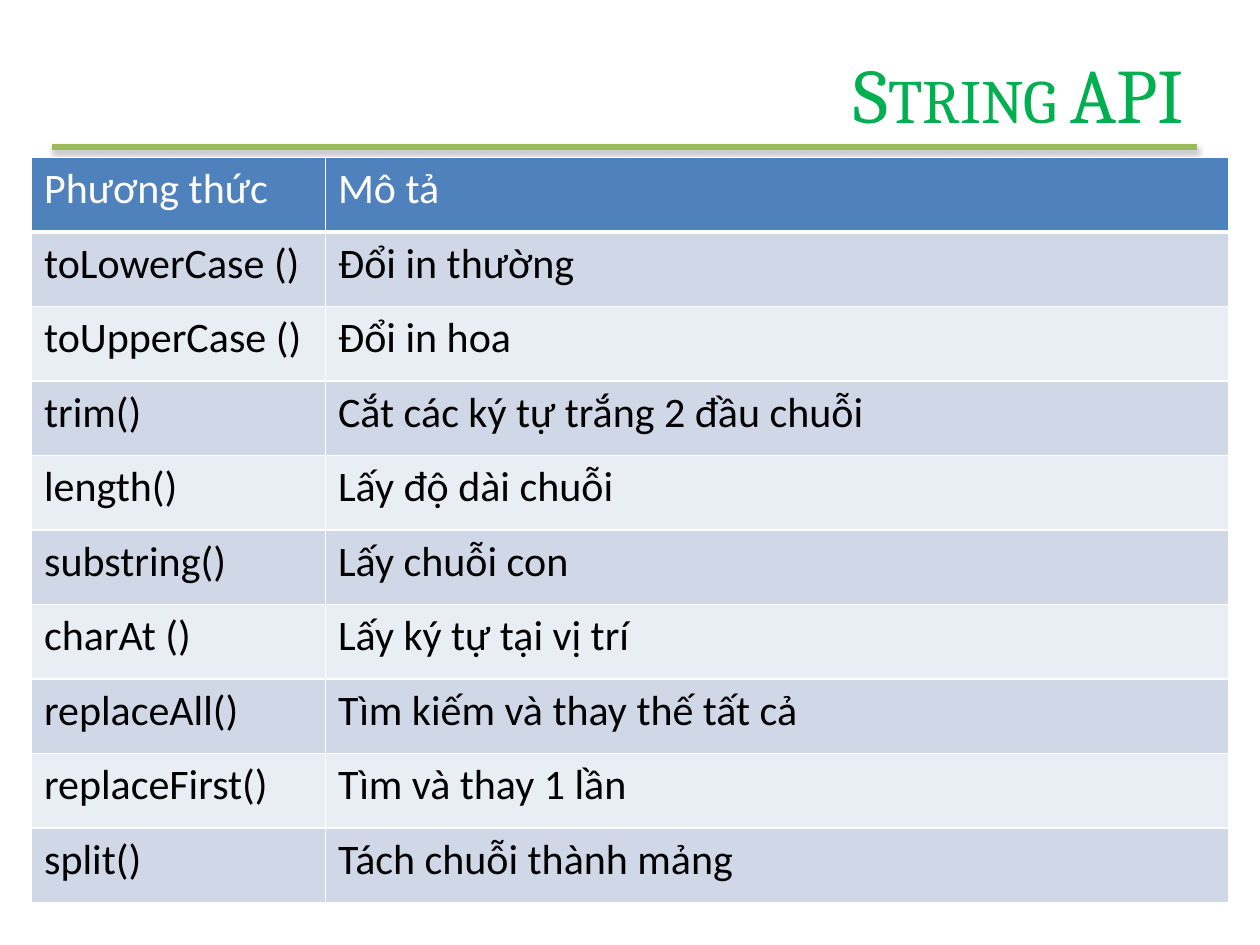
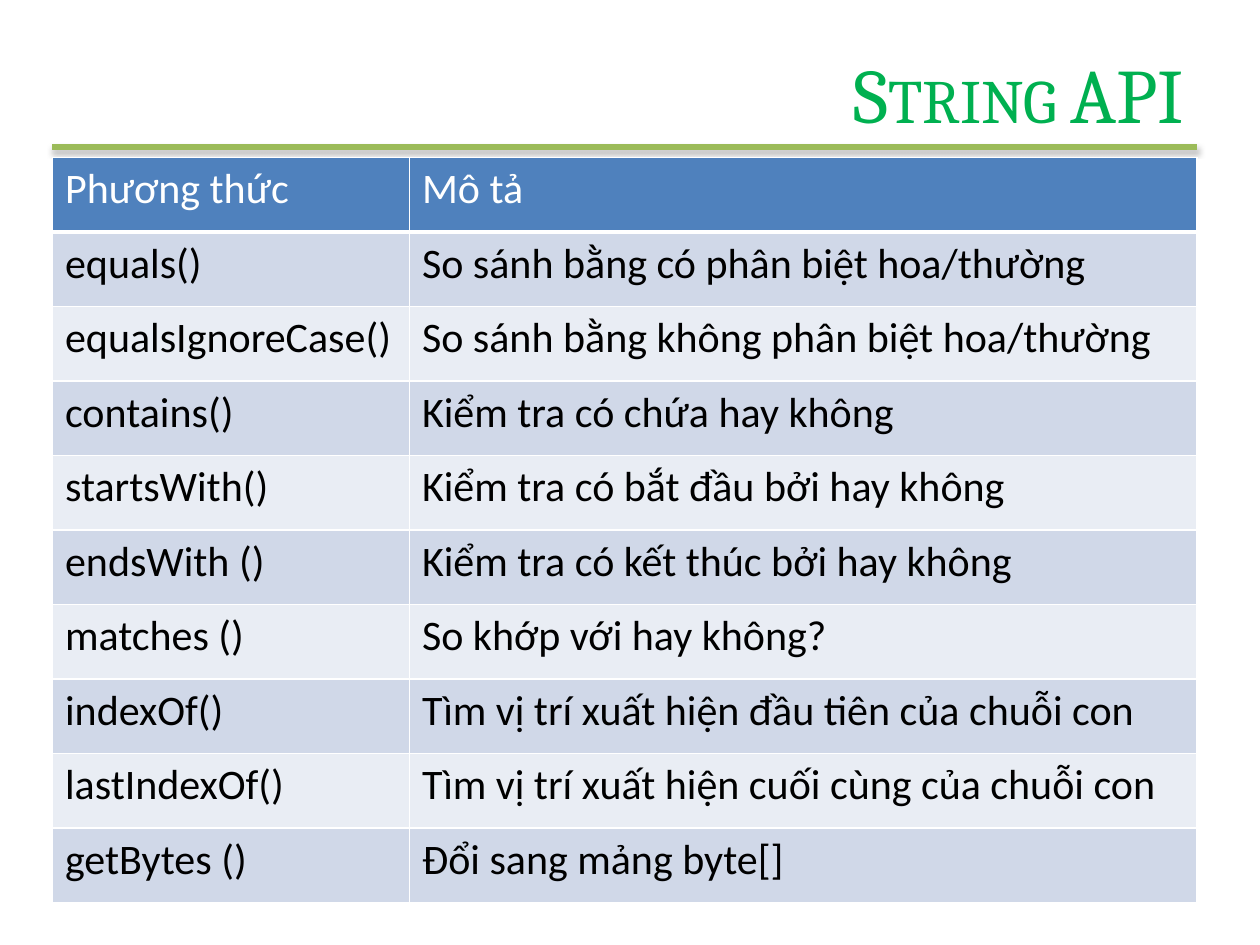
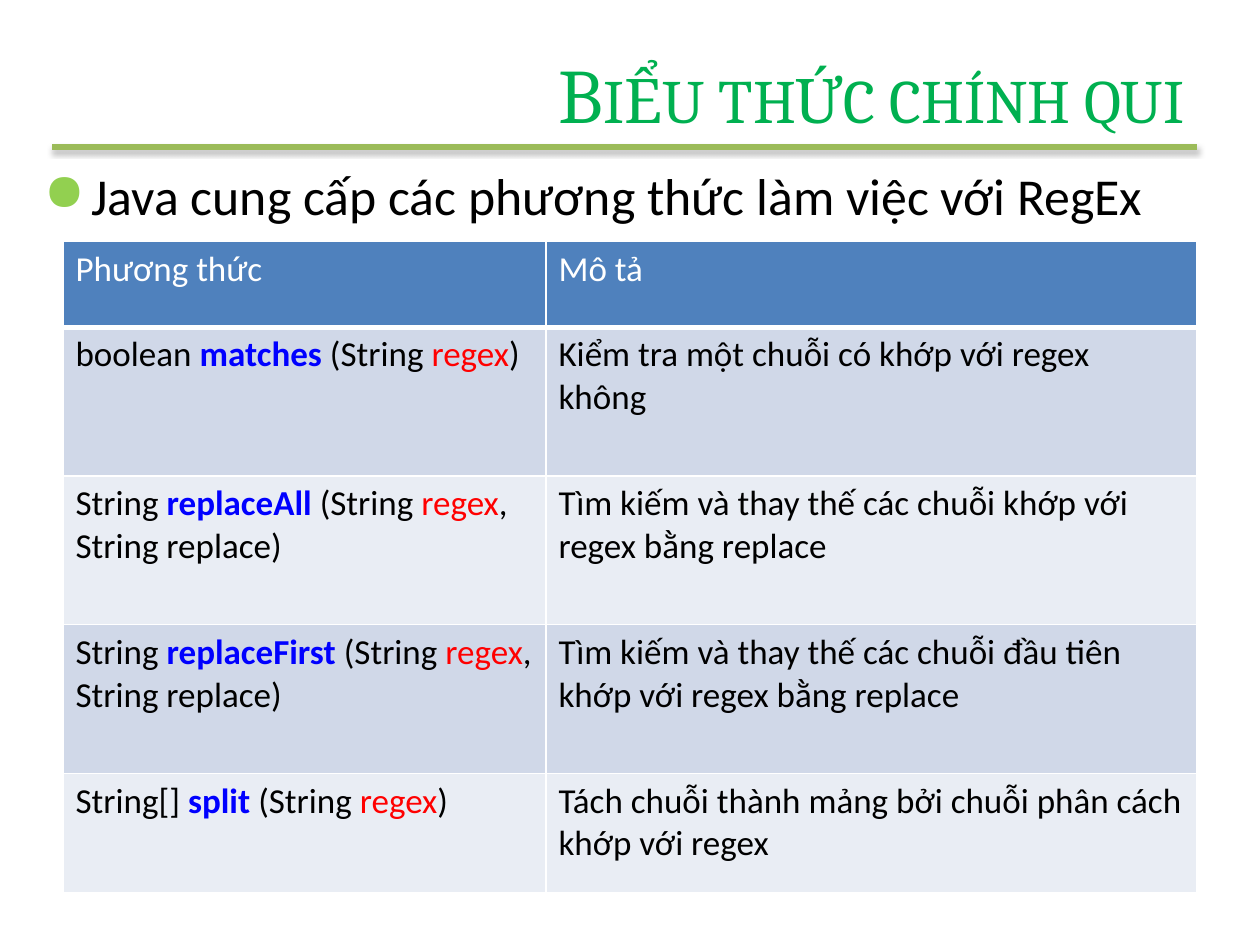
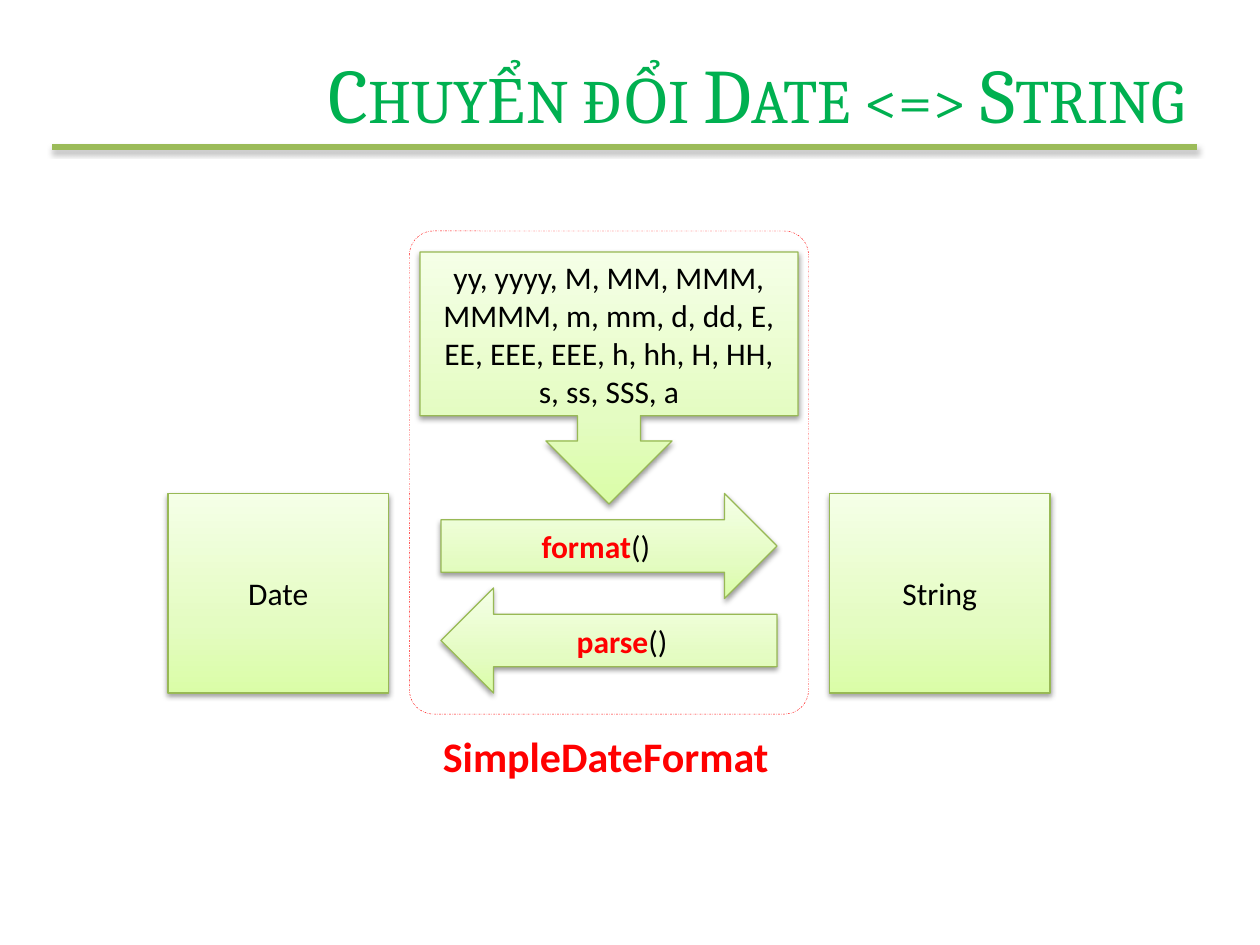
import copy
from dataclasses import dataclass

import pptx
import pptx.dml.color
import pptx.enum.dml
import pptx.enum.shapes
import pptx.enum.text
import pptx.util
from lxml import etree
from pptx.oxml.ns import qn

Pt = pptx.util.Pt
SHAPE = pptx.enum.shapes.MSO_SHAPE
ALIGN = pptx.enum.text.PP_ALIGN
ANCHOR = pptx.enum.text.MSO_ANCHOR
FIT = pptx.enum.text.MSO_AUTO_SIZE


@dataclass(frozen=True)
class Theme:
    title_font: str = "Cambria"
    body_font: str = "Calibri"
    title_size: float = 44
    lead_size: float = 29.6
    large_size: float = 24
    small_size: float = 20
    shape_size: float = 18
    title: str = "00B050"
    rule: str = "9BBB59"
    bullet: str = "92D050"
    text: str = "000000"
    white: str = "FFFFFF"
    blue: str = "0000FF"
    red: str = "FF0000"
    header: str = "4F81BD"
    bands: tuple = ("D0D8E8", "E9EDF4")
    shape_line: str = "98B955"
    gradient: tuple = ((0, "DAFDA7"), (0.35, "E4FCC2"), (1, "F5FFE7"))


T = Theme()

# Run roles: colour and bold
ROLES = {
    "plain": (T.text, False),
    "header": (T.white, False),
    "method": (T.blue, True),
    "param": (T.red, False),
    "key": (T.red, True),
}

HEADER = ("Phương thức", "Mô tả")

EDIT_METHODS = [
    ("toLowerCase ()", "Đổi in thường"),
    ("toUpperCase ()", "Đổi in hoa"),
    ("trim()", "Cắt các ký tự trắng 2 đầu chuỗi"),
    ("length()", "Lấy độ dài chuỗi"),
    ("substring()", "Lấy chuỗi con"),
    ("charAt ()", "Lấy ký tự tại vị trí"),
    ("replaceAll()", "Tìm kiếm và thay thế tất cả"),
    ("replaceFirst()", "Tìm và thay 1 lần"),
    ("split()", "Tách chuỗi thành mảng"),
]

COMPARE_METHODS = [
    ("equals()", "So sánh bằng có phân biệt hoa/thường"),
    ("equalsIgnoreCase()", "So sánh bằng không phân biệt hoa/thường"),
    ("contains()", "Kiểm tra có chứa hay không"),
    ("startsWith()", "Kiểm tra có bắt đầu bởi hay không"),
    ("endsWith ()", "Kiểm tra có kết thúc bởi hay không"),
    ("matches ()", "So khớp với hay không?"),
    ("indexOf()", "Tìm vị trí xuất hiện đầu tiên của chuỗi con"),
    ("lastIndexOf()", "Tìm vị trí xuất hiện cuối cùng của chuỗi con"),
    ("getBytes ()", "Đổi sang mảng byte[]"),
]

REGEX_LEAD = "Java cung cấp các phương thức làm việc với RegEx"
# Return type, method, parameters after regex, description
REGEX_METHODS = [
    ("boolean", "matches", ")", "Kiểm tra một chuỗi có khớp với regex không"),
    ("String", "replaceAll", ", String replace)",
     "Tìm kiếm và thay thế các chuỗi khớp với regex bằng replace"),
    ("String", "replaceFirst", ", String replace)",
     "Tìm kiếm và thay thế các chuỗi đầu tiên khớp với regex bằng replace"),
    ("String[]", "split", ")",
     "Tách chuỗi thành mảng bởi chuỗi phân cách khớp với regex"),
]

DATE_PATTERNS = ("yy, yyyy, M, MM, MMM, MMMM, m, mm, d, dd, E, EE, EEE, EEE, "
                 "h, hh, H, HH, s, ss, SSS, a")
# Shape, box (left, top, width, height), flipped, runs
DATE_SHAPES = [
    (SHAPE.RECTANGLE, (96, 282, 126, 114), False, "Date"),
    (SHAPE.RECTANGLE, (474, 282, 126, 114), False, "String"),
    (SHAPE.RIGHT_ARROW, (252, 282, 192, 60), False, [("format", "key"), ("()", "plain")]),
    (SHAPE.RIGHT_ARROW, (252, 336, 192, 60), True, [("parse", "key"), ("()", "plain")]),
    (SHAPE.DOWN_ARROW_CALLOUT, (240, 144, 216, 144), False, DATE_PATTERNS),
]


def rgb(value):
    return pptx.dml.color.RGBColor.from_string(value)


def points(*values):
    return [Pt(v) for v in values]


def add_runs(p, content, size, role="plain"):
    """Add a string in one role, or a list of (text, role) pairs."""
    pairs = [(content, role)] if isinstance(content, str) else content
    for text, name in pairs:
        r = p.add_run()
        r.text = text
        r.font.name, r.font.size = T.body_font, Pt(size)
        color, r.font.bold = ROLES[name]
        r.font.color.rgb = rgb(color)


def add_shadow(sp, distance, opacity):
    effects = etree.SubElement(sp.element.spPr, qn("a:effectLst"))
    shadow = etree.SubElement(effects, qn("a:outerShdw"), blurRad=str(Pt(3.1)),
                              dist=str(Pt(distance)), dir="5400000", rotWithShape="0")
    color = etree.SubElement(shadow, qn("a:srgbClr"), val="000000")
    etree.SubElement(color, qn("a:alpha"), val=str(opacity * 1000))


def add_rule_to_layout(layout, s):
    """Draw the title rule and keep it on the layout that all slides share."""
    rule = s.shapes.add_connector(pptx.enum.shapes.MSO_CONNECTOR.STRAIGHT,
                                  *points(30, 84, 684, 84))
    rule.line.color.rgb = rgb(T.rule)
    rule.line.width = Pt(3)
    add_shadow(rule, 1.8, 35)
    layout.shapes.element.append(rule.element)


def add_slide(prs, title):
    s = prs.slides.add_slide(prs.slide_layouts[5])
    sp = s.shapes.title
    sp.left, sp.top, sp.width, sp.height = points(104.4, 21.6, 579.6, 62.4)
    tf = sp.text_frame
    tf.auto_size, tf.vertical_anchor = FIT.NONE, ANCHOR.MIDDLE
    p = tf.paragraphs[0]
    p.alignment = ALIGN.RIGHT
    r = p.add_run()
    r.text = title
    r.font.name, r.font.size = T.title_font, Pt(T.title_size)
    r.font.color.rgb = rgb(T.title)
    for props in sp.element.iter(qn("a:rPr")):
        props.set("cap", "small")
    return s


def set_borders(cell, bottom):
    """Give a cell white borders, 1 pt except for the bottom one."""
    props = cell.fill and cell._tc.get_or_add_tcPr()
    for i, (side, width) in enumerate(zip("LRTB", (1, 1, 1, bottom))):
        ln = etree.Element(qn("a:ln" + side), w=str(Pt(width)))
        fill = etree.SubElement(ln, qn("a:solidFill"))
        etree.SubElement(fill, qn("a:srgbClr"), val=T.white)
        props.insert(i, ln)


def add_method_table(s, left, top, col_widths, row_heights, rows, size):
    rows = [HEADER] + rows
    table = s.shapes.add_table(len(rows), len(HEADER), *points(
        left, top, sum(col_widths), sum(row_heights))).table
    for column, width in zip(table.columns, col_widths):
        column.width = Pt(width)
    for i, (row, height) in enumerate(zip(rows, row_heights)):
        table.rows[i].height = Pt(height)
        for j, content in enumerate(row):
            cell = table.cell(i, j)
            cell.fill.solid()
            cell.fill.fore_color.rgb = rgb(T.bands[(i - 1) % 2] if i else T.header)
            set_borders(cell, 1 if i else 3)
            add_runs(cell.text_frame.paragraphs[0], content, size,
                     "plain" if i else "header")


def add_bullet_line(s, text):
    box = s.shapes.add_textbox(*points(18, 90, 684, 48))
    tf = box.text_frame
    tf.word_wrap = True
    props = box.element.find(".//" + qn("a:p")).get_or_add_pPr()
    props.set("marL", str(Pt(27)))
    props.set("indent", str(-Pt(27)))
    color = etree.SubElement(props, qn("a:buClr"))
    etree.SubElement(color, qn("a:srgbClr"), val=T.bullet)
    etree.SubElement(props, qn("a:buChar"), char="●")
    add_runs(tf.paragraphs[0], text, T.lead_size)


def fill_gradient(sp):
    sp.fill.gradient()
    sp.fill.gradient_angle = 90
    stops = sp.element.spPr.find(".//" + qn("a:gsLst"))
    stops.insert(1, copy.deepcopy(stops[0]))
    for stop, (position, color) in zip(sp.fill.gradient_stops, T.gradient):
        stop.position = position
        stop.color.rgb = rgb(color)


def add_green_shape(s, kind, box, flipped, content):
    sp = s.shapes.add_shape(kind, *points(*box))
    fill_gradient(sp)
    sp.line.color.rgb = rgb(T.shape_line)
    sp.line.width = Pt(0.75)
    add_shadow(sp, 1.6, 38)
    if flipped:
        sp.element.spPr.find(qn("a:xfrm")).set("flipH", "1")
    tf = sp.text_frame
    tf.word_wrap, tf.vertical_anchor = True, ANCHOR.MIDDLE
    p = tf.paragraphs[0]
    p.alignment = ALIGN.CENTER
    add_runs(p, content, T.shape_size)


def add_class_frame(s):
    frame = s.shapes.add_shape(SHAPE.ROUNDED_RECTANGLE, *points(234, 132, 228, 276))
    frame.adjustments[0] = 0.06
    frame.shadow.inherit = False
    frame.fill.background()
    frame.line.color.rgb = rgb(T.red)
    frame.line.width = Pt(0.25)
    frame.line.dash_style = pptx.enum.dml.MSO_LINE.DASH_DOT
    label = s.shapes.add_textbox(*points(246, 414, 202.3, 36))
    tf = label.text_frame
    tf.word_wrap, tf.auto_size = False, FIT.SHAPE_TO_FIT_TEXT
    add_runs(tf.paragraphs[0], "SimpleDateFormat", T.large_size, "key")


def regex_row(returns, method, rest, description):
    signature = [(returns + " ", "plain"), (method + " ", "method"),
                 ("(String ", "plain"), ("regex", "param"), (rest, "plain")]
    return signature, description


def main():
    prs = pptx.Presentation()
    prs.slide_width, prs.slide_height = points(720, 540)

    s = add_slide(prs, "String API")
    add_rule_to_layout(prs.slide_layouts[5], s)
    add_method_table(s, 18, 90, (168, 516), [42.6] * 10, EDIT_METHODS, T.large_size)

    s = add_slide(prs, "String API")
    add_method_table(s, 30, 90, (204, 450), [42.6] * 10, COMPARE_METHODS, T.large_size)

    s = add_slide(prs, "Biểu thức chính qui")
    add_bullet_line(s, REGEX_LEAD)
    add_method_table(s, 36, 138, (276, 372), (49, 85, 85, 85, 68),
                     [regex_row(*row) for row in REGEX_METHODS], T.small_size)

    s = add_slide(prs, "Chuyển đổi Date <=> String")
    add_class_frame(s)
    for shape in DATE_SHAPES:
        add_green_shape(s, *shape)

    prs.save("out.pptx")


if __name__ == "__main__":
    main()
